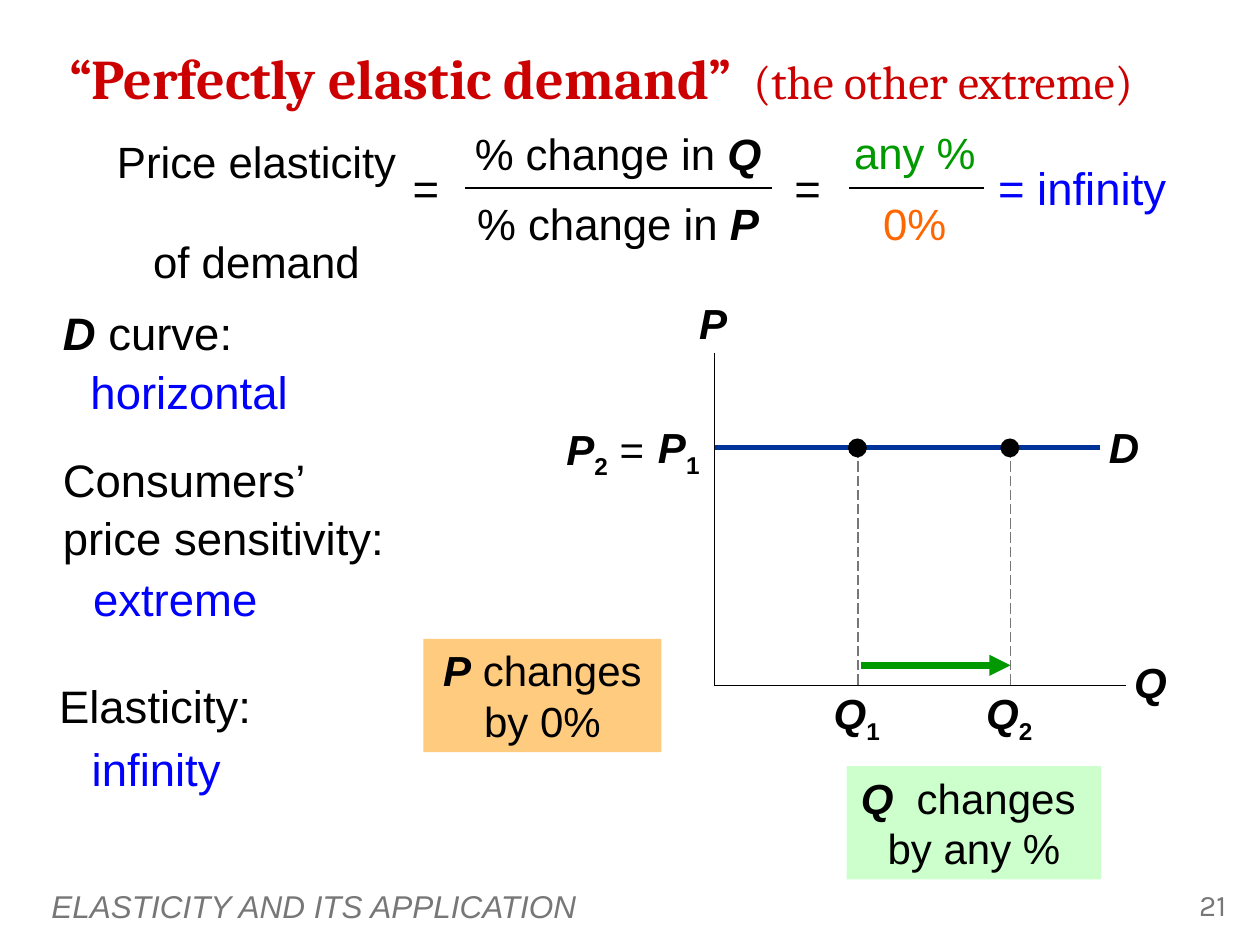
"""Build the slide on perfectly elastic demand."""
from lxml.etree import SubElement
from pptx import Presentation
from pptx.dml.color import RGBColor
from pptx.enum.dml import MSO_LINE
from pptx.enum.shapes import MSO_CONNECTOR, MSO_SHAPE
from pptx.enum.text import MSO_ANCHOR, PP_ALIGN
from pptx.oxml.ns import qn
from pptx.util import Inches, Pt

BLACK, GREY, RED = "000000", "777777", "CC0000"
BLUE, GREEN, ORANGE, NAVY = "0000FF", "009900", "FF6600", "003399"
LEFT, CENTER, RIGHT = PP_ALIGN.LEFT, PP_ALIGN.CENTER, PP_ALIGN.RIGHT
VAR = {"bold": True, "italic": True}
SUB = {"bold": True, "baseline": -25000}


def rgb(value):
    return RGBColor.from_string(value)


class SlideBuilder:
    def __init__(self, slide, font="Arial", size=24):
        self.s, self.font, self.size = slide, font, size

    def fill_text(self, sp, paragraphs, size=None, color=BLACK, font=None,
                  align=CENTER, anchor=MSO_ANCHOR.TOP, spacing=None, gap=0):
        tf = sp.text_frame
        tf.word_wrap, tf.vertical_anchor = True, anchor
        for i, runs in enumerate(paragraphs):
            p = tf.add_paragraph() if i else tf.paragraphs[0]
            p.alignment = align
            if spacing:
                p.line_spacing = spacing
            if i:
                p.space_before = Pt(gap)
            for text, changes in runs:
                for part, piece in enumerate(text.split("\v")):
                    if part:
                        p.add_line_break()
                    r = p.add_run()
                    r.text = piece
                    fmt = {"name": font or self.font,
                           "size": Pt(size or self.size),
                           "bold": False, "italic": False} | changes
                    baseline = fmt.pop("baseline", None)
                    for name, value in fmt.items():
                        setattr(r.font, name, value)
                    r.font.color.rgb = rgb(color)
                    if baseline:
                        r._r.get_or_add_rPr().set("baseline", str(baseline))

    def title(self, box, runs, **style):
        sp = self.s.shapes.title
        for name, value in zip(("left", "top", "width", "height"), box):
            setattr(sp, name, Inches(value))
        self.fill_text(sp, [runs], **style)

    def text(self, box, *paragraphs, **style):
        sp = self.s.shapes.add_textbox(*map(Inches, box))
        self.fill_text(sp, paragraphs, **style)

    def shape(self, kind, box, fill, alpha=None):
        sp = self.s.shapes.add_shape(kind, *map(Inches, box))
        sp.shadow.inherit = False
        sp.fill.solid()
        sp.fill.fore_color.rgb = rgb(fill)
        sp.line.fill.background()
        if alpha:
            color = sp._element.spPr.find(f".//{qn('a:srgbClr')}")
            SubElement(color, qn("a:alpha"), val=str(alpha * 1000))
        return sp

    def note(self, box, fill, *paragraphs, alpha=None):
        sp = self.shape(MSO_SHAPE.RECTANGLE, box, fill, alpha)
        self.fill_text(sp, paragraphs)

    def line(self, x1, y1, x2, y2, color=BLACK, width=1, dash=None, arrow=False):
        c = self.s.shapes.add_connector(
            MSO_CONNECTOR.STRAIGHT, *map(Inches, (x1, y1, x2, y2)))
        c.line.color.rgb, c.line.width = rgb(color), Pt(width)
        if dash:
            c.line.dash_style = dash
        if arrow:
            SubElement(c.line._get_or_add_ln(), qn("a:tailEnd"), type="triangle")
        SubElement(c._element.spPr, qn("a:effectLst"))


def add_formula(b):
    b.text((0.79, 1.05, 2.49, 1.29), [("Price elasticity", {})],
           [("of demand", {})], size=25, spacing=0.95, gap=29)
    for x in (3.13, 6.16):
        b.text((x, 1.22, 0.5, 0.54), [("=", {})], size=26)
    for y, name in ((0.96, "Q"), (1.51, "P")):
        b.text((3.6, y, 2.61, 0.52), [("% change in ", {}), (name, VAR)], size=25)
    for y, value, color in ((0.95, "any %", GREEN), (1.51, "0%", ORANGE)):
        b.text((6.62, y, 1.28, 0.52), [(value, {})], size=25, color=color)
    for x1, x2 in ((3.69, 6.13), (6.74, 7.81)):
        b.line(x1, 1.49, x2, 1.49)
    b.text((7.78, 1.22, 1.62, 0.54), [("= infinity", {})], size=26, color=BLUE)


def add_facts(b):
    facts = (
        (0.4, 2.35, 0.58, [("D", VAR), (" curve:", {})], 0.62, 2.82, "horizontal"),
        (0.4, 3.52, 1.06, [("Consumers’ \vprice sensitivity:", {})],
         0.64, 4.46, "extreme"),
        (0.37, 5.31, 0.59, [("Elasticity:", {})], 0.63, 5.81, "infinity"),
    )
    style = {"size": 26, "align": LEFT, "spacing": 1.05}
    for x, y, height, label, answer_x, answer_y, answer in facts:
        b.text((x, y, 3.71, height), label, **style)
        b.text((answer_x, answer_y, 3, 0.58), [(answer, {})], color=BLUE, **style)


def add_graph(b):
    origin_x, origin_y, price_y = 5.67, 5.44, 3.55
    q1, q2 = 6.81, 8.02
    b.line(origin_x, price_y, 8.73, price_y, NAVY, 3)
    b.line(origin_x, 2.8, origin_x, origin_y)
    b.line(origin_x, origin_y, 8.94, origin_y)
    for x, y, name in ((5.28, 2.31, "P"), (8.75, 5.16, "Q"), (8.54, 3.3, "D")):
        b.text((x, y, 0.76, 0.5), [(name, VAR)])
    for x, index in ((q1, "1"), (q2, "2")):
        b.text((x - 0.33, 5.41, 0.64, 0.56), [("Q", VAR), (index, SUB)])
        b.line(x, price_y, x, origin_y, GREY, 0.75, MSO_LINE.LONG_DASH)
        b.shape(MSO_SHAPE.OVAL, (x - 0.08, price_y - 0.07, 0.15, 0.15), BLACK)
    b.line(q1 + 0.02, 5.28, q2, 5.28, GREEN, 4, arrow=True)
    b.text((4.94, 3.3, 0.71, 0.56), [("P", VAR), ("1", SUB)], align=RIGHT)
    b.text((4.32, 3.31, 0.89, 0.56), [("P", VAR), ("2", SUB), (" =", {})],
           align=RIGHT)
    b.note((3.36, 5.07, 1.89, 0.9), "FF9900",
           [("P", VAR), (" changes by 0%", {})], alpha=50)
    b.note((6.72, 6.08, 2.02, 0.9), "CCFFCC",
           [("Q", VAR), ("  changes \vby any %", {})])


def main():
    prs = Presentation()
    prs.slide_width, prs.slide_height = Inches(10), Inches(7.5)
    b = SlideBuilder(prs.slides.add_slide(prs.slide_layouts[5]))
    b.title((0.45, 0.27, 9.27, 0.68),
            [("“Perfectly elastic demand”", {"bold": True, "size": Pt(32)}),
             ("  (the other extreme)", {})],
            size=27, color=RED, font="Cambria", align=LEFT,
            anchor=MSO_ANCHOR.MIDDLE)
    add_formula(b)
    add_facts(b)
    add_graph(b)
    b.text((0.31, 6.99, 8.02, 0.4),
           [("ELASTICITY AND ITS APPLICATION", {"italic": True})],
           size=18, color=GREY, align=LEFT, anchor=MSO_ANCHOR.MIDDLE)
    b.text((9.08, 6.99, 0.75, 0.4), [("21", {})],
           size=17, color=GREY, font="Karla", align=RIGHT)
    prs.save("out.pptx")


if __name__ == "__main__":
    main()
